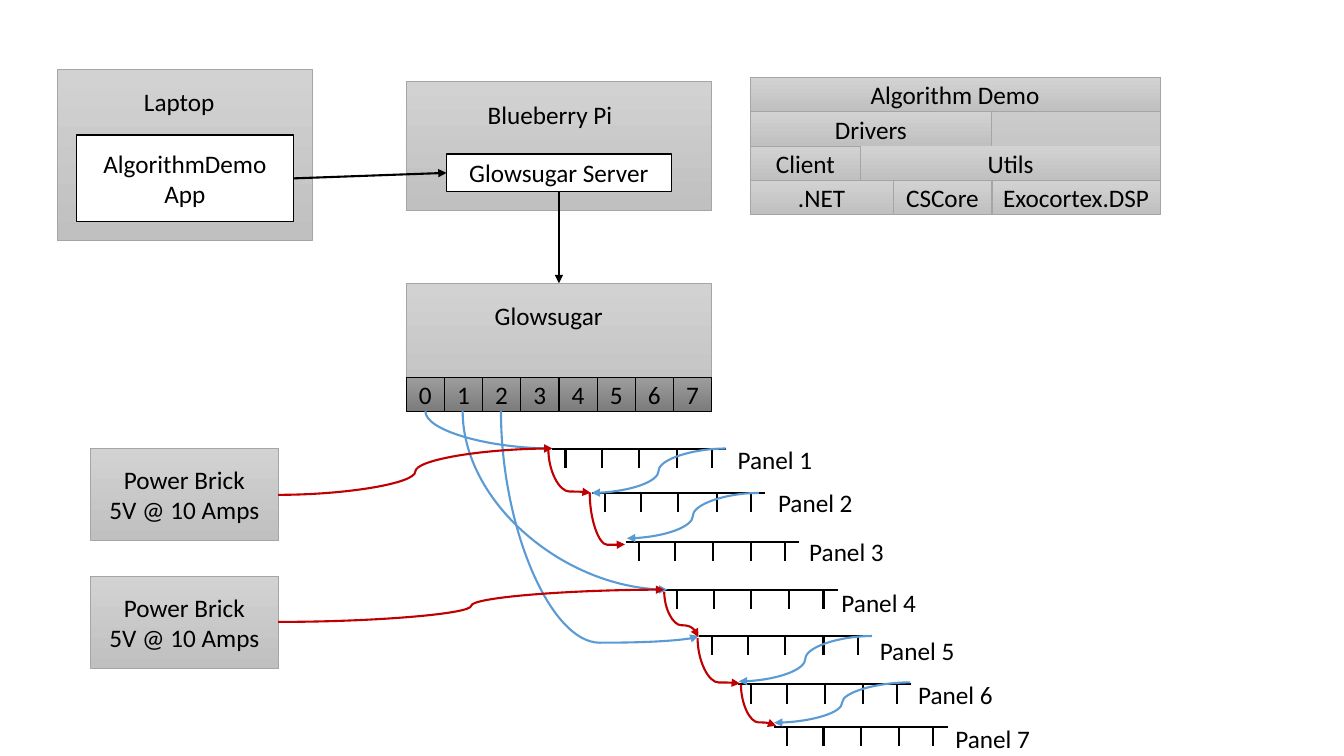
"""Draw the wiring of an LED panel demo, from the laptop down to seven chained panels."""
from dataclasses import dataclass
from typing import Optional

from lxml.etree import SubElement
from pptx import Presentation
from pptx.dml.color import RGBColor as Rgb
from pptx.enum.shapes import MSO_CONNECTOR as Route, MSO_SHAPE as Preset
from pptx.enum.text import MSO_ANCHOR as Anchor, PP_ALIGN as Align
from pptx.oxml.ns import qn
from pptx.shapes.autoshape import Shape
from pptx.shapes.connector import Connector
from pptx.shapes.shapetree import SlideShapes
from pptx.util import Inches, Pt

CELL = Inches(0.1)
COLUMNS, ROWS = 133.33, 75


@dataclass(frozen=True)
class Theme:
    font: str = "Calibri"
    text_size: float = 18
    wire_width: float = 1.5
    ink: Rgb = Rgb(0, 0, 0)
    data: Rgb = Rgb(0x5B, 0x9B, 0xD5)
    power: Rgb = Rgb(0xC0, 0, 0)
    edge: Rgb = Rgb(0xA5, 0xA5, 0xA5)
    white: tuple[Rgb, ...] = (Rgb(0xFF, 0xFF, 0xFF),)
    light: tuple[Rgb, ...] = (Rgb(0xD2, 0xD2, 0xD2), Rgb(0xC0, 0xC0, 0xC0))
    dark: tuple[Rgb, ...] = (Rgb(0x9D, 0x9D, 0x9D), Rgb(0x7C, 0x7C, 0x7C))


THEME = Theme()


@dataclass(frozen=True)
class Box:
    col: float
    row: float
    cols: float
    rows: float
    text: str = ""
    fill: tuple[Rgb, ...] = THEME.light
    edge: Optional[Rgb] = THEME.edge
    edge_width: float = 0.5


@dataclass(frozen=True)
class Label:
    col: float
    row: float
    cols: float
    text: str


@dataclass(frozen=True)
class Panel:
    col: float
    row: float
    label_col: float
    label_row: float


@dataclass(frozen=True)
class Wire:
    start: tuple[float, float]
    end: tuple[float, float]
    color: Rgb
    falls: bool = False
    bend: Optional[float] = 0.5


LAPTOP = Box(5.7, 6.9, 25.3, 17)
APP = Box(7.6, 13.4, 21.5, 8.6, "AlgorithmDemo App", THEME.white, THEME.ink, 1)
COMPUTER = Box(40.3, 8.1, 30.3, 12.8)
SERVER = Box(44.3, 15.3, 22.3, 3.7, "Glowsugar Server", THEME.white, THEME.ink, 1)
CONTROLLER = Box(40.3, 28.1, 30.3, 12.7)
BRICKS = [Box(9, row, 18.6, 9.1, "Power Brick\n5V @ 10 Amps") for row in (44.5, 57.2)]
HEADINGS = [
    Label(13.3, 8.1, 10.1, "Laptop"),
    Label(47.4, 9.4, 15.9, "Blueberry Pi"),
    Label(48.1, 29.3, 14.6, "Glowsugar"),
]

PORTS = 8
PORT_COLS = CONTROLLER.cols / PORTS
PORT_ROWS = 3.4

LAYER_LEFT, LAYER_TOP, LAYER_ROWS = 74.4, 7.7, 3.4
LAYERS = [
    [("Algorithm Demo", 0, 40.7)],
    [("Drivers", 0, 24)],
    [("Utils", 11, 29.7), ("Client", 0, 11)],
    [(".NET", 0, 14.2), ("CSCore", 14.2, 9.8), ("Exocortex.DSP", 24, 16.7)],
]

PANEL_COLS, TICK_ROWS = 17.2, 1.9
TICKS = (1.3, 4.9, 8.6, 12.4, 15.8)
PANELS = [
    Panel(54.8, 44.5, 72.2, 43.6),
    Panel(58.7, 48.9, 76.2, 47.9),
    Panel(62.1, 53.8, 79.3, 52.7),
    Panel(65.9, 58.5, 82.5, 57.8),
    Panel(69.3, 63.1, 86.3, 62.5),
    Panel(73.2, 67.9, 90.1, 66.9),
    Panel(76.8, 72.1, 93.8, 71.3),
]

WIRES = [
    Wire((42.2, 40.8), (54.8, 44.5), THEME.data, True, None),
    Wire((45.9, 40.8), (66.2, 58.5), THEME.data, True, None),
    Wire((49.7, 40.8), (69.3, 63.1), THEME.data, True, 1.03),
    Wire((72, 44.5), (58.7, 48.9), THEME.data),
    Wire((75.3, 48.9), (62.2, 53.4), THEME.data),
    Wire((86.5, 63.1), (73.3, 67.6), THEME.data),
    Wire((90.3, 67.7), (76.8, 71.7), THEME.data),
    Wire((27.6, 49.1), (54.8, 44.5), THEME.power),
    Wire((54.4, 44.6), (58.6, 48.9), THEME.power, True, 0.97),
    Wire((58.5, 48.9), (62, 54), THEME.power, True, 1.01),
    Wire((27.6, 61.7), (65.9, 58.5), THEME.power),
    Wire((65.9, 58.7), (69.3, 63.2), THEME.power, True, 0.74),
    Wire((69.2, 63.3), (73.4, 67.8), THEME.power, True, 0.98),
    Wire((73.5, 67.9), (77, 72), THEME.power, True, 0.92),
]


def grid(cells: float) -> int:
    return round(cells * CELL)


def write(holder: Shape, text: str, align: Align) -> None:
    frame = holder.text_frame
    frame.word_wrap = True
    frame.text = text
    for paragraph in frame.paragraphs:
        paragraph.alignment = align
        for run in paragraph.runs:
            run.font.name, run.font.size = THEME.font, Pt(THEME.text_size)
            run.font.color.rgb = THEME.ink


def draw_box(shapes: SlideShapes, box: Box) -> Shape:
    block = shapes.add_shape(Preset.RECTANGLE, *map(grid, (box.col, box.row, box.cols, box.rows)))
    block.shadow.inherit = False
    if len(box.fill) == 1:
        block.fill.solid()
        block.fill.fore_color.rgb = box.fill[0]
    else:
        block.fill.gradient()
        block.fill.gradient_angle = 270
        for stop, color in zip(block.fill.gradient_stops, box.fill):
            stop.color.rgb = color
    if box.edge is None:
        block.line.fill.background()
    else:
        block.line.color.rgb = box.edge
        block.line.width = Pt(box.edge_width)
    if box.text:
        write(block, box.text, Align.CENTER)
        block.text_frame.vertical_anchor = Anchor.MIDDLE
    return block


def draw_label(shapes: SlideShapes, label: Label) -> None:
    caption = shapes.add_textbox(*map(grid, (label.col, label.row, label.cols, 4)))
    write(caption, label.text, Align.LEFT)


def style_line(line: Connector, color: Rgb, arrow: bool) -> None:
    line.line.color.rgb = color
    line.line.width = Pt(THEME.wire_width)
    if arrow:
        SubElement(line.line._get_or_add_ln(), qn("a:tailEnd"), type="triangle")
    SubElement(line._element.spPr, qn("a:effectLst"))


def draw_line(shapes: SlideShapes, col: float, row: float, end_col: float, end_row: float) -> None:
    line = shapes.add_connector(Route.STRAIGHT, *map(grid, (col, row, end_col, end_row)))
    style_line(line, THEME.ink, False)


def join(shapes: SlideShapes, source: Shape, side: int, target: Shape, target_side: int) -> None:
    link = shapes.add_connector(Route.STRAIGHT, 0, 0, 0, 0)
    link.begin_connect(source, side)
    link.end_connect(target, target_side)
    style_line(link, THEME.ink, True)


def draw_panel(shapes: SlideShapes, panel: Panel, number: int) -> None:
    draw_line(shapes, panel.col, panel.row, panel.col + PANEL_COLS, panel.row)
    for tick in TICKS:
        col = panel.col + tick
        draw_line(shapes, col, panel.row, col, panel.row + TICK_ROWS)
    draw_label(shapes, Label(panel.label_col, panel.label_row, 10.3, f"Panel {number}"))


def draw_wire(shapes: SlideShapes, wire: Wire) -> None:
    curve = shapes.add_connector(Route.CURVE, *map(grid, wire.start + wire.end))
    properties = curve._element.spPr
    if wire.falls:
        across, down = curve.width, curve.height
        curve.left += (across - down) // 2
        curve.top += (down - across) // 2
        curve.width, curve.height = down, across
        frame = properties.find(qn("a:xfrm"))
        frame.set("rot", "16200000")
        frame.set("flipH", "1")
    geometry = properties.find(qn("a:prstGeom"))
    if wire.bend is None:
        geometry.set("prst", "curvedConnector2")
    else:
        guides = geometry.find(qn("a:avLst"))
        SubElement(guides, qn("a:gd"), name="adj1", fmla=f"val {round(wire.bend * 100000)}")
    style_line(curve, wire.color, True)


def main() -> None:
    deck = Presentation()
    deck.slide_width, deck.slide_height = grid(COLUMNS), grid(ROWS)
    shapes = deck.slides.add_slide(deck.slide_layouts[6]).shapes

    draw_box(shapes, LAPTOP)
    app = draw_box(shapes, APP)
    draw_box(shapes, COMPUTER)
    server = draw_box(shapes, SERVER)
    controller = draw_box(shapes, CONTROLLER)
    join(shapes, app, 3, server, 1)
    join(shapes, server, 2, controller, 0)
    for heading in HEADINGS:
        draw_label(shapes, heading)

    port_row = CONTROLLER.row + CONTROLLER.rows - PORT_ROWS
    for port in range(PORTS):
        col = CONTROLLER.col + port * PORT_COLS
        draw_box(shapes, Box(col, port_row, PORT_COLS, PORT_ROWS, str(port), THEME.dark, THEME.ink))
    for brick in BRICKS:
        draw_box(shapes, brick)
    for number, panel in enumerate(PANELS, 1):
        draw_panel(shapes, panel, number)
    for wire in WIRES:
        draw_wire(shapes, wire)

    draw_box(shapes, Box(LAYER_LEFT, LAYER_TOP, 40.7, 3 * LAYER_ROWS))
    for level, layer in enumerate(LAYERS):
        for name, offset, cols in layer:
            edge = None if name == "Utils" else THEME.edge
            row = LAYER_TOP + level * LAYER_ROWS
            draw_box(shapes, Box(LAYER_LEFT + offset, row, cols, LAYER_ROWS, name, edge=edge))
    deck.save("out.pptx")


if __name__ == "__main__":
    main()
